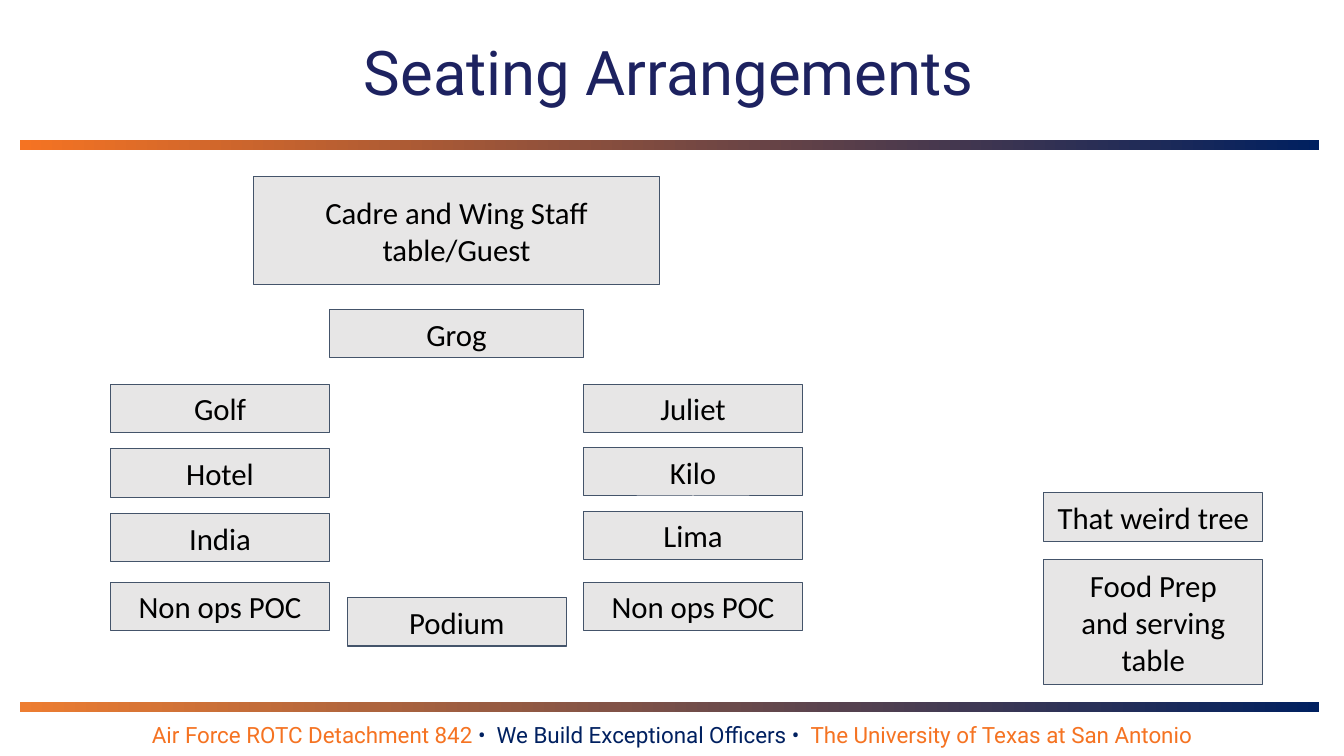
from pptx import Presentation
from pptx.dml.color import RGBColor
from pptx.enum.shapes import MSO_SHAPE
from pptx.enum.text import MSO_ANCHOR, MSO_AUTO_SIZE, PP_ALIGN
from pptx.util import Cm, Pt

ORANGE = RGBColor(0xF5, 0x73, 0x22)
SOFT_ORANGE = RGBColor(0xED, 0x7D, 0x31)
NAVY = RGBColor(0x00, 0x20, 0x60)
INDIGO = RGBColor(0x1D, 0x22, 0x60)
GREY = RGBColor(0xE7, 0xE6, 0xE6)
SLATE = RGBColor(0x44, 0x54, 0x6A)
BLACK = RGBColor(0x00, 0x00, 0x00)

HEADING = "Seating Arrangements"
MOTTO = [
    ("Air Force ROTC Detachment 842 ", ORANGE),
    ("•  We Build Exceptional Officers •  ", NAVY),
    ("The University of Texas at San Antonio", ORANGE),
]
BARS = [(3.53, ORANGE), (17.7, SOFT_ORANGE)]

SLIDE_W, SLIDE_H = 33.87, 19.05
SEAT_W, SEAT_H = 5.51, 1.22
LEFT_X, RIGHT_X, FOOD_X = 2.79, 14.71, 26.31
ROWS_TOP, NON_OPS_TOP = 9.68, 14.67
FLIGHTS = [
    (LEFT_X, 1.63, ["Golf", "Hotel", "India"]),
    (RIGHT_X, 1.6, ["Juliet", "Kilo", "Lima"]),
]
TABLES = [
    ("Cadre and Wing Staff table/Guest", 6.4, 4.45, 10.21, 2.72),
    ("Grog", LEFT_X + SEAT_W, 7.8, RIGHT_X - LEFT_X - SEAT_W, SEAT_H),
    ("Podium", 8.76, 15.06, SEAT_W, SEAT_H),
    ("That weird tree", FOOD_X, 12.42, SEAT_W, SEAT_H),
    ("Food Prep\nand serving table", FOOD_X, 14.1, SEAT_W, 3.15),
]


def style(run, font_name, size, color):
    """Set the font of one run."""
    run.font.name = font_name
    run.font.size = Pt(size)
    run.font.color.rgb = color


def add_rectangle(slide, left, top, width, height):
    """Add a rectangle without a shadow, placed in centimetres."""
    rectangle = slide.shapes.add_shape(
        MSO_SHAPE.RECTANGLE, Cm(left), Cm(top), Cm(width), Cm(height))
    rectangle.shadow.inherit = False
    return rectangle


def add_bar(slide, top, start_color):
    """Add a horizontal bar that fades to navy."""
    bar = add_rectangle(slide, 0.51, top, 32.74, 0.25)
    bar.line.fill.background()
    bar.fill.gradient()
    bar.fill.gradient_angle = 0
    for stop, color in zip(bar.fill.gradient_stops, (start_color, NAVY)):
        stop.color.rgb = color


def add_table_box(slide, label, left, top, width, height):
    """Add one labelled place of the seating plan."""
    box = add_rectangle(slide, left, top, width, height)
    box.fill.solid()
    box.fill.fore_color.rgb = GREY
    box.line.color.rgb = SLATE
    box.line.width = Pt(0.75)
    frame = box.text_frame
    frame.text = label
    frame.word_wrap = True
    frame.vertical_anchor = MSO_ANCHOR.MIDDLE
    frame.margin_left = frame.margin_right = Cm(0.25)
    frame.margin_top = frame.margin_bottom = Cm(0.25)
    for paragraph in frame.paragraphs:
        paragraph.alignment = PP_ALIGN.CENTER
        style(paragraph.runs[0], "Calibri", 22, BLACK)


def add_heading(slide):
    """Fill and place the title."""
    title = slide.shapes.title
    title.left, title.top = Cm(6.4), Cm(0.74)
    title.width, title.height = Cm(20.93), Cm(2.13)
    frame = title.text_frame
    frame.text = HEADING
    frame.auto_size = MSO_AUTO_SIZE.NONE
    frame.vertical_anchor = MSO_ANCHOR.TOP
    frame.paragraphs[0].alignment = PP_ALIGN.CENTER
    style(frame.paragraphs[0].runs[0], "Roboto", 44, INDIGO)


def add_motto(slide):
    """Add the coloured line at the foot of the slide."""
    motto = slide.shapes.add_textbox(Cm(0), Cm(18.03), Cm(SLIDE_W), Cm(0.94))
    frame = motto.text_frame
    frame.word_wrap = True
    frame.vertical_anchor = MSO_ANCHOR.BOTTOM
    paragraph = frame.paragraphs[0]
    paragraph.alignment = PP_ALIGN.CENTER
    for phrase, color in MOTTO:
        run = paragraph.add_run()
        run.text = phrase
        style(run, "Roboto", 16, color)


def main():
    """Build the seating plan slide."""
    deck = Presentation()
    deck.slide_width, deck.slide_height = Cm(SLIDE_W), Cm(SLIDE_H)
    slide = deck.slides.add_slide(deck.slide_layouts[5])
    add_heading(slide)
    for top, start_color in BARS:
        add_bar(slide, top, start_color)
    add_motto(slide)
    for table in TABLES:
        add_table_box(slide, *table)
    for left, pitch, flights in FLIGHTS:
        for row, flight in enumerate(flights):
            add_table_box(slide, flight, left, ROWS_TOP + row * pitch, SEAT_W, SEAT_H)
        add_table_box(slide, "Non ops POC", left, NON_OPS_TOP, SEAT_W, SEAT_H)
    deck.save("out.pptx")


if __name__ == "__main__":
    main()
